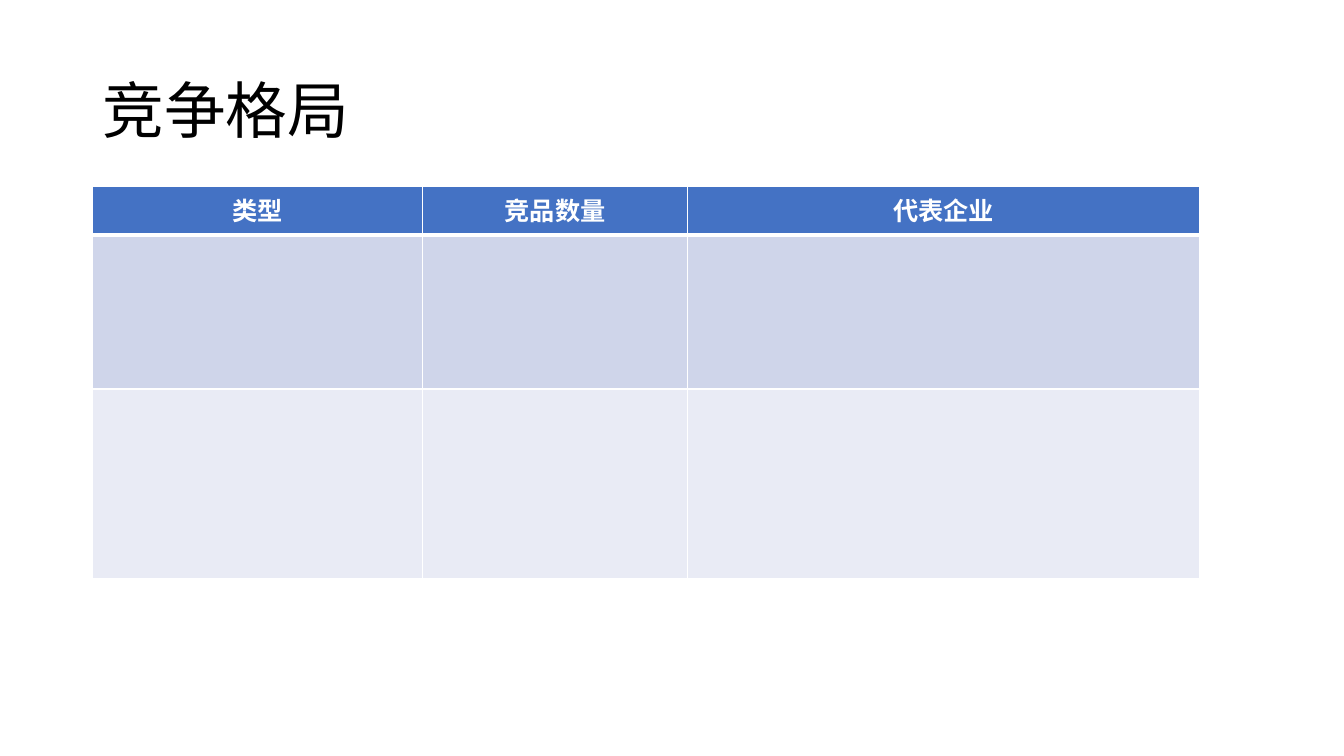
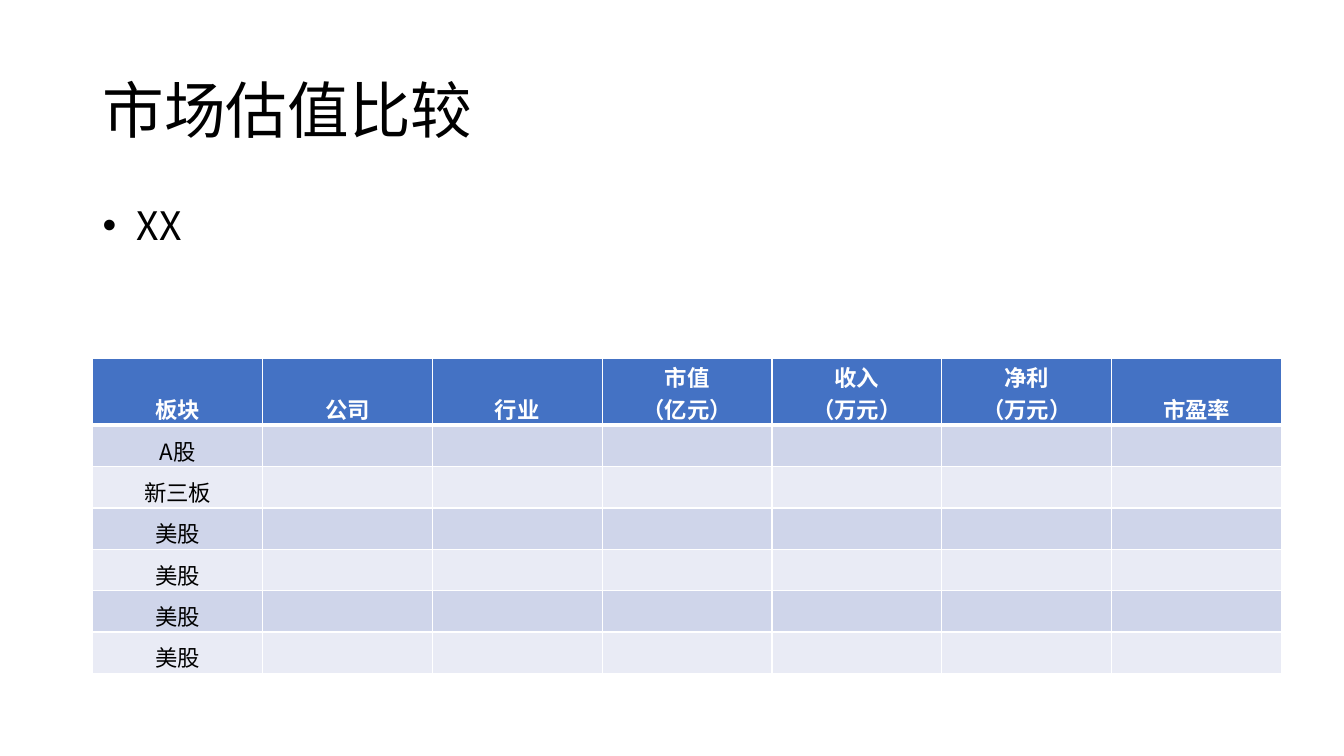
from dataclasses import dataclass

from lxml import etree
from pptx import Presentation
from pptx.dml.color import RGBColor
from pptx.enum.text import MSO_ANCHOR, PP_ALIGN
from pptx.oxml.ns import qn
from pptx.util import Inches, Pt

CENTER = PP_ALIGN.CENTER
LEFT = PP_ALIGN.LEFT
TOP = MSO_ANCHOR.TOP
MIDDLE = MSO_ANCHOR.MIDDLE
BOTTOM = MSO_ANCHOR.BOTTOM


@dataclass(frozen=True)
class Theme:
    font: str = "Noto Sans CJK SC"
    ink: str = "000000"
    paper: str = "FFFFFF"
    header: str = "4472C4"
    bands: tuple = ("CFD5EA", "E9EBF5")
    title_size: int = 44
    body_size: int = 28
    wide_table_size: int = 18
    dense_table_size: int = 16
    thin_rule: int = 1
    header_rule: int = 3
    left: float = 0.92
    text_width: float = 11.5


class SlideBuilder:
    def __init__(self, deck, theme):
        self.deck = deck
        self.theme = theme
        self.slide = None

    def new_slide(self, title):
        self.slide = self.deck.slides.add_slide(self.deck.slide_layouts[6])
        self.text_box(title, 0.4, 1.45, self.theme.title_size, MIDDLE)

    def style_text(self, frame, size, color, bold=False, align=LEFT):
        for para in frame.paragraphs:
            para.alignment = align
            for span in para.runs:
                span.font.size = Pt(size)
                span.font.bold = bold
                span.font.name = self.theme.font
                span.font.color.rgb = RGBColor.from_string(color)
                east_asian = etree.SubElement(span.font._element, qn("a:ea"))
                east_asian.set("typeface", self.theme.font)

    def text_box(self, text, top, height, size, anchor=TOP):
        box = self.slide.shapes.add_textbox(
            Inches(self.theme.left), Inches(top),
            Inches(self.theme.text_width), Inches(height))
        frame = box.text_frame
        frame.word_wrap = True
        frame.vertical_anchor = anchor
        frame.text = text
        self.style_text(frame, size, self.theme.ink)
        para = frame.paragraphs[0]
        para.line_spacing = 0.9
        return para

    def bullet(self, text, top, height):
        para = self.text_box(text, top, height, self.theme.body_size)
        para.space_before = Pt(10)
        properties = para._p.get_or_add_pPr()
        properties.set("marL", str(Inches(0.25)))
        properties.set("indent", str(Inches(-0.25)))
        bullet_font = etree.SubElement(properties, qn("a:buFont"))
        bullet_font.set("typeface", "Arial")
        etree.SubElement(properties, qn("a:buChar")).set("char", "•")

    def cell_borders(self, cell, row):
        widths = {"L": self.theme.thin_rule, "R": self.theme.thin_rule,
                  "T": self.theme.header_rule if row == 1 else self.theme.thin_rule,
                  "B": self.theme.header_rule if row == 0 else self.theme.thin_rule}
        properties = cell._tc.get_or_add_tcPr()
        for side, width in widths.items():
            line = etree.SubElement(properties, qn(f"a:ln{side}"))
            line.set("w", str(Pt(width)))
            fill = etree.SubElement(line, qn("a:solidFill"))
            etree.SubElement(fill, qn("a:srgbClr")).set("val", self.theme.paper)

    def table(self, rows, top, widths, heights, size, anchor=TOP, margins=None):
        table = self.slide.shapes.add_table(
            len(heights), len(widths), Inches(self.theme.left), Inches(top),
            Inches(sum(widths)), Inches(sum(heights))).table
        for column, width in zip(table.columns, widths):
            column.width = Inches(width)
        for row, height in enumerate(heights):
            table.rows[row].height = Inches(height)
            is_header = row == 0
            fill = self.theme.header if is_header else self.theme.bands[(row - 1) % 2]
            color = self.theme.paper if is_header else self.theme.ink
            for column, cell in enumerate(table.rows[row].cells):
                self.cell_borders(cell, row)
                cell.fill.solid()
                cell.fill.fore_color.rgb = RGBColor.from_string(fill)
                cell.vertical_anchor = anchor
                if margins:
                    (cell.margin_left, cell.margin_top,
                     cell.margin_right, cell.margin_bottom) = map(Inches, margins)
                if row < len(rows) and column < len(rows[row]):
                    cell.text_frame.text = rows[row][column]
                    self.style_text(cell.text_frame, size, color, is_header, CENTER)


def competition_slide(builder):
    builder.new_slide("竞争格局")
    builder.table([["类型", "竞品数量", "代表企业"]], 1.85,
                  [3.27, 2.63, 5.08], [0.48, 1.53, 1.88],
                  builder.theme.wide_table_size)


def valuation_slide(builder):
    builder.new_slide("市场估值比较")
    headings = ["板块", "公司", "行业", "市值\n（亿元）",
                "收入\n（万元）", "净利\n（万元）", "市盈率"]
    boards = ["A股", "新三板"] + ["美股"] * 4
    builder.table([headings] + [[board] for board in boards], 3.56,
                  [11.79 / len(headings)] * len(headings),
                  [0.66] + [0.41] * len(boards),
                  builder.theme.dense_table_size, BOTTOM,
                  (0.01, 0.01, 0.01, 0))
    builder.bullet(" XX", 2, 4.76)


deck = Presentation()
deck.slide_width = Inches(13.33)
deck.slide_height = Inches(7.5)
builder = SlideBuilder(deck, Theme())
competition_slide(builder)
valuation_slide(builder)
deck.save("out.pptx")
